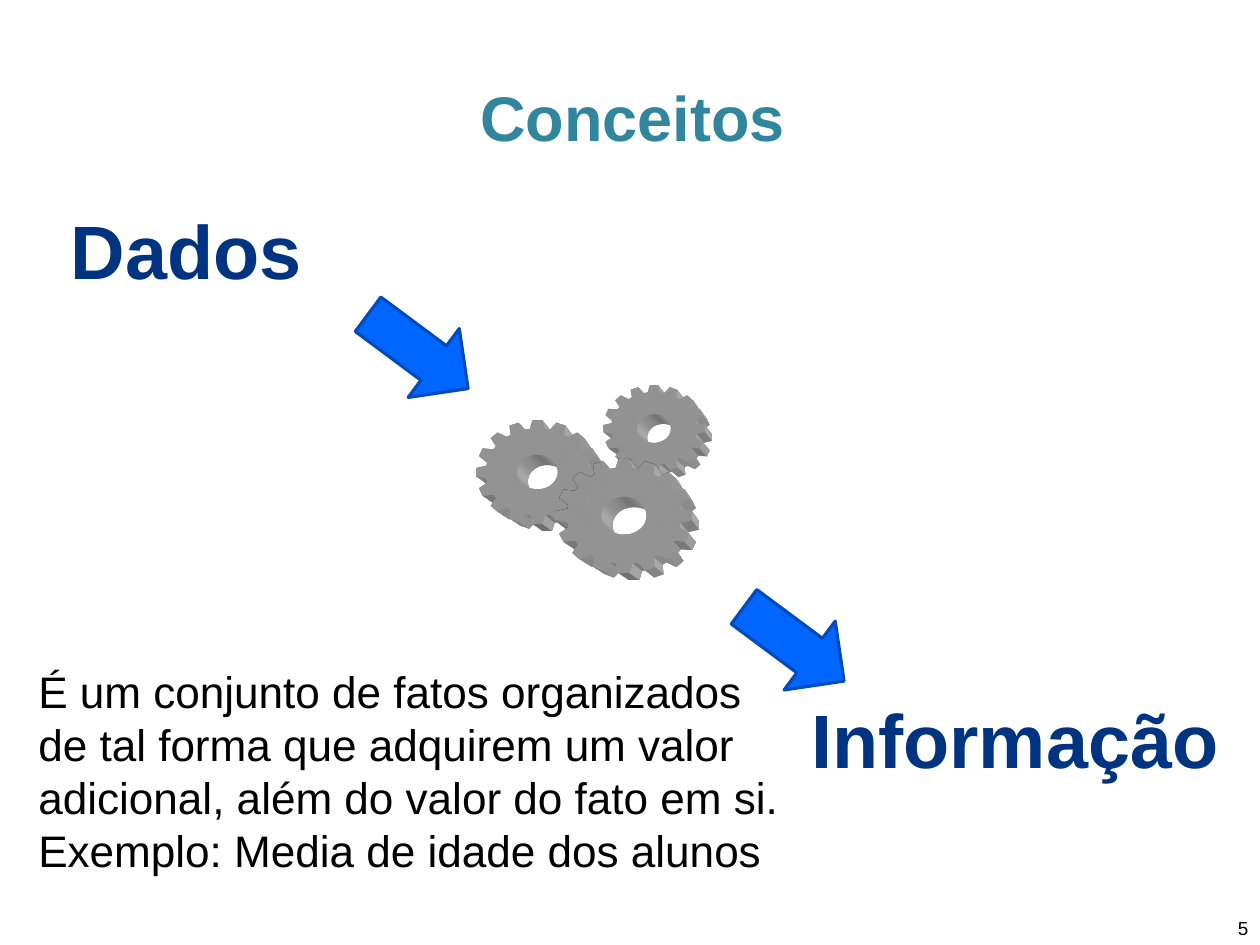
from math import cos, pi, sin

from lxml.etree import SubElement
from pptx import Presentation
from pptx.dml.color import RGBColor
from pptx.enum.shapes import MSO_SHAPE as Shape
from pptx.enum.text import MSO_ANCHOR as Anchor, PP_ALIGN as Align
from pptx.oxml.ns import qn
from pptx.util import Cm, Pt

TEAL = RGBColor(0x31, 0x85, 0x9C)
NAVY = RGBColor(0x00, 0x33, 0x80)
BLUE = RGBColor(0x00, 0x66, 0xFF)
EDGE_BLUE = RGBColor(0x00, 0x4B, 0xBD)
BLACK = RGBColor(0, 0, 0)
SILVER = RGBColor(0xC0, 0xC0, 0xC0)

TITLE = "Conceitos"
DEFINITION = [
    "É um conjunto de fatos organizados de tal forma que adquirem um valor "
    "adicional, além do valor do fato em si.",
    "Exemplo: Media de idade dos alunos",
]

# lines, (left, top, width, height) in cm, size, colour, bold, alignment, anchor
TEXTS = [
    (["Dados"], (1.33, 4.45, 6.91, 2.13), 48, NAVY, True, Align.LEFT, Anchor.TOP),
    (["5"], (26.84, 20.38, 1.37, 0.78), 12, BLACK, False, Align.RIGHT, Anchor.MIDDLE),
    (["Informação"], (17.5, 15.4, 10.46, 2.64), 48, NAVY, True, Align.CENTER, Anchor.TOP),
    (DEFINITION, (0.61, 14.76, 17.17, 6.38), 28, BLACK, False, Align.LEFT, Anchor.TOP),
]

# centre x, centre y, radius x, radius y in cm, from back to front
GEARS = [
    (14.65, 9.59, 1.14, 0.96),
    (12.04, 10.57, 1.37, 1.15),
    (13.97, 11.54, 1.52, 1.28),
]
TEETH = 16
TOOTH_PROFILE = [(-0.15, 0.84), (-0.08, 1), (0.08, 1), (0.15, 0.84)]  # angle, radius
HOLE_RATIO = 0.33
HOLE_POINTS = 48
GEAR_DEPTH = Cm(1.2)

ARROWS = [(7.97, 6.91), (16.39, 13.46)]
ARROW_SIZE = (2.79, 1.92)
ARROW_ANGLE = 36.6


def format_paragraph(para, size, colour, bold, align):
    para.alignment = align
    for span in para.runs:
        span.font.name = "Arial"
        span.font.size = Pt(size)
        span.font.bold = bold
        span.font.color.rgb = colour


def add_text(page, lines, place, size, colour, bold, align, anchor):
    box = page.shapes.add_textbox(*map(Cm, place))
    frame = box.text_frame
    frame.word_wrap = True
    frame.vertical_anchor = anchor
    frame.text = "\n".join(lines)
    for para in frame.paragraphs:
        format_paragraph(para, size, colour, bold, align)


def extrude(shape):
    """Give the shape a thickness that runs down to the right."""
    properties = shape.element.spPr
    scene = SubElement(properties, qn("a:scene3d"))
    SubElement(scene, qn("a:camera"), prst="legacyPerspectiveBottomRight")
    SubElement(scene, qn("a:lightRig"), rig="legacyFlat3", dir="b")
    solid = SubElement(properties, qn("a:sp3d"),
                       extrusionH=str(GEAR_DEPTH), prstMaterial="legacyMatte")
    colour = SubElement(solid, qn("a:extrusionClr"))
    SubElement(colour, qn("a:srgbClr"), val=str(SILVER))


def add_gear(shapes, x, y, radius_x, radius_y):
    def point(angle, ratio):
        return Cm(x + radius_x * ratio * cos(angle)), Cm(y + radius_y * ratio * sin(angle))

    outline = [
        point(2 * pi * tooth / TEETH + turn, ratio)
        for tooth in range(TEETH)
        for turn, ratio in TOOTH_PROFILE
    ]
    hole = [point(-2 * pi * step / HOLE_POINTS, HOLE_RATIO) for step in range(HOLE_POINTS)]

    builder = shapes.build_freeform(*outline[0])
    builder.add_line_segments(outline[1:], close=True)
    builder.move_to(*hole[0])
    builder.add_line_segments(hole[1:], close=True)
    gear = builder.convert_to_shape()
    gear.shadow.inherit = False
    gear.fill.solid()
    gear.fill.fore_color.rgb = SILVER
    gear.line.fill.background()
    extrude(gear)


def add_arrow(page, left, top):
    arrow = page.shapes.add_shape(Shape.RIGHT_ARROW, Cm(left), Cm(top), *map(Cm, ARROW_SIZE))
    arrow.rotation = ARROW_ANGLE
    arrow.shadow.inherit = False
    arrow.fill.solid()
    arrow.fill.fore_color.rgb = BLUE
    arrow.line.color.rgb = EDGE_BLUE
    arrow.line.width = Pt(2)


def main():
    deck = Presentation()
    deck.slide_width, deck.slide_height = Cm(28.22), Cm(21.16)
    page = deck.slides.add_slide(deck.slide_layouts[5])

    title = page.shapes.title
    title.left, title.top, title.width, title.height = map(Cm, (0.86, 0.84, 26.62, 3.53))
    title.text_frame.text = TITLE
    title.text_frame.vertical_anchor = Anchor.MIDDLE
    format_paragraph(title.text_frame.paragraphs[0], 40, TEAL, True, Align.CENTER)

    for text in TEXTS:
        add_text(page, *text)
    gears = page.shapes.add_group_shape()
    for gear in GEARS:
        add_gear(gears.shapes, *gear)
    for arrow in ARROWS:
        add_arrow(page, *arrow)
    deck.save("out.pptx")


if __name__ == "__main__":
    main()
